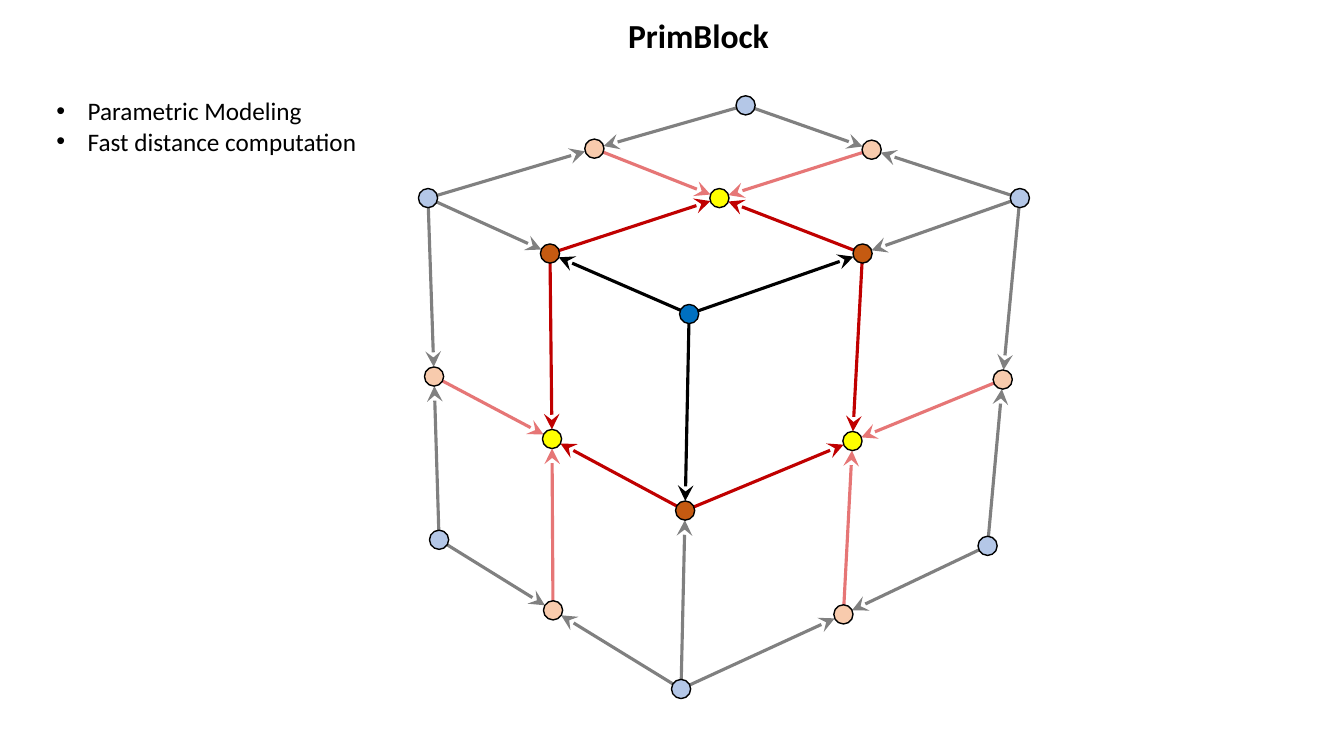
from math import hypot

from lxml import etree
from pptx import Presentation
from pptx import util as u
from pptx.dml.color import RGBColor
from pptx.enum import shapes, text
from pptx.oxml import ns

TITLE = "PrimBlock"
FEATURES = ["Parametric Modeling", "Fast distance computation"]

# Cube steps (right, left, down) from the near corner: left and top of the node
NODES = {
    (0, 0, 0): (6.74, 3.02), (2, 0, 0): (10.02, 1.87), (0, 2, 0): (4.15, 1.87),
    (0, 0, 2): (6.66, 6.74), (2, 2, 0): (7.30, 0.95), (2, 0, 2): (9.70, 5.32),
    (0, 2, 2): (4.26, 5.26),
    (1, 0, 0): (8.46, 2.42), (0, 1, 0): (5.36, 2.42), (0, 0, 1): (6.70, 4.97),
    (2, 1, 0): (8.55, 1.39), (1, 2, 0): (5.80, 1.38), (2, 0, 1): (9.85, 3.67),
    (1, 0, 2): (8.27, 6.00), (0, 2, 1): (4.21, 3.64), (0, 1, 2): (5.39, 5.96),
    (1, 1, 0): (7.04, 1.87), (1, 0, 1): (8.36, 4.28), (0, 1, 1): (5.38, 4.26),
}

# Node and arrow colours by (number of midpoint steps, touches a far side)
THEME = {
    "font": "Calibri", "text": "000000", "outline": "000000",
    "title_size": 24, "body_size": 18, "arrow_width": 2.25, "outline_width": 1,
    "node": {(0, False): "0070C0", (0, True): "B4C7E7", (1, False): "C55A11",
             (1, True): "F8CBAD", (2, False): "FFFF00"},
    "arrow": {(0, False): "000000", (0, True): "808080",
              (1, False): "C00000", (1, True): "E67676"},
}
SLIDE_W, SLIDE_H = 13.33, 7.5
NODE_SIZE = 0.19
BULLET_INDENT = 0.31


def rgb(value):
    return RGBColor.from_string(value)


def role(step):
    return step.count(1), 2 in step


def centre(step):
    return tuple(edge + NODE_SIZE / 2 for edge in NODES[step])


def leads_to(start, end):
    """True when one step along one axis goes from a side to its midpoint."""
    changes = [(a, b) for a, b in zip(start, end) if a != b]
    return len(changes) == 1 and changes[0][1] == 1


def draw_arrow(slide, start, end):
    (x1, y1), (x2, y2) = centre(start), centre(end)
    reach = 1 - NODE_SIZE / 2 / hypot(x2 - x1, y2 - y1)
    tip = x1 + (x2 - x1) * reach, y1 + (y2 - y1) * reach
    arrow = slide.shapes.add_connector(
        shapes.MSO_CONNECTOR.STRAIGHT, *map(u.Inches, (x1, y1, *tip)))
    arrow.line.color.rgb = rgb(THEME["arrow"][role(start)])
    arrow.line.width = u.Pt(THEME["arrow_width"])
    properties = arrow.element.spPr
    etree.SubElement(properties.find(ns.qn("a:ln")), ns.qn("a:tailEnd"),
                     type="stealth", w="lg", len="lg")
    etree.SubElement(properties, ns.qn("a:effectLst"))


def draw_node(slide, step):
    node = slide.shapes.add_shape(
        shapes.MSO_SHAPE.OVAL,
        *map(u.Inches, (*NODES[step], NODE_SIZE, NODE_SIZE)))
    node.shadow.inherit = False
    node.fill.solid()
    node.fill.fore_color.rgb = rgb(THEME["node"][role(step)])
    node.line.color.rgb = rgb(THEME["outline"])
    node.line.width = u.Pt(THEME["outline_width"])


def write(placeholder, lines, box, size, bold=False, bulleted=False):
    for side, length in zip(("left", "top", "width", "height"), box):
        setattr(placeholder, side, u.Inches(length))
    frame = placeholder.text_frame
    frame.text = "\n".join(lines)
    layout = {"word_wrap": True, "auto_size": text.MSO_AUTO_SIZE.NONE,
              "vertical_anchor": text.MSO_ANCHOR.TOP,
              "margin_left": u.Inches(0.1), "margin_right": u.Inches(0.1),
              "margin_top": u.Inches(0.05), "margin_bottom": u.Inches(0.05)}
    for name, value in layout.items():
        setattr(frame, name, value)
    for paragraph in frame.paragraphs:
        if bulleted:
            properties = paragraph._p.get_or_add_pPr()
            properties.set("marL", str(u.Inches(BULLET_INDENT)))
            properties.set("indent", str(-u.Inches(BULLET_INDENT)))
            etree.SubElement(properties, ns.qn("a:buFont"), typeface="Arial")
            etree.SubElement(properties, ns.qn("a:buChar"), char="•")
        paragraph.alignment = text.PP_ALIGN.LEFT
        paragraph.space_before = u.Pt(0)
        style = {"name": THEME["font"], "size": u.Pt(size), "bold": bold}
        for name, value in style.items():
            setattr(paragraph.font, name, value)
        paragraph.font.color.rgb = rgb(THEME["text"])


def main():
    deck = Presentation()
    deck.slide_width, deck.slide_height = u.Inches(SLIDE_W), u.Inches(SLIDE_H)
    slide = deck.slides.add_slide(deck.slide_layouts[1])
    title, features = slide.placeholders
    write(title, [TITLE], (6.13, 0.1, 2.61, 0.5), THEME["title_size"], bold=True)
    write(features, FEATURES, (0.46, 0.9, 5.63, 0.71), THEME["body_size"],
          bulleted=True)
    for start in NODES:
        for end in NODES:
            if leads_to(start, end):
                draw_arrow(slide, start, end)
    for step in NODES:
        draw_node(slide, step)
    deck.save("out.pptx")


if __name__ == "__main__":
    main()
